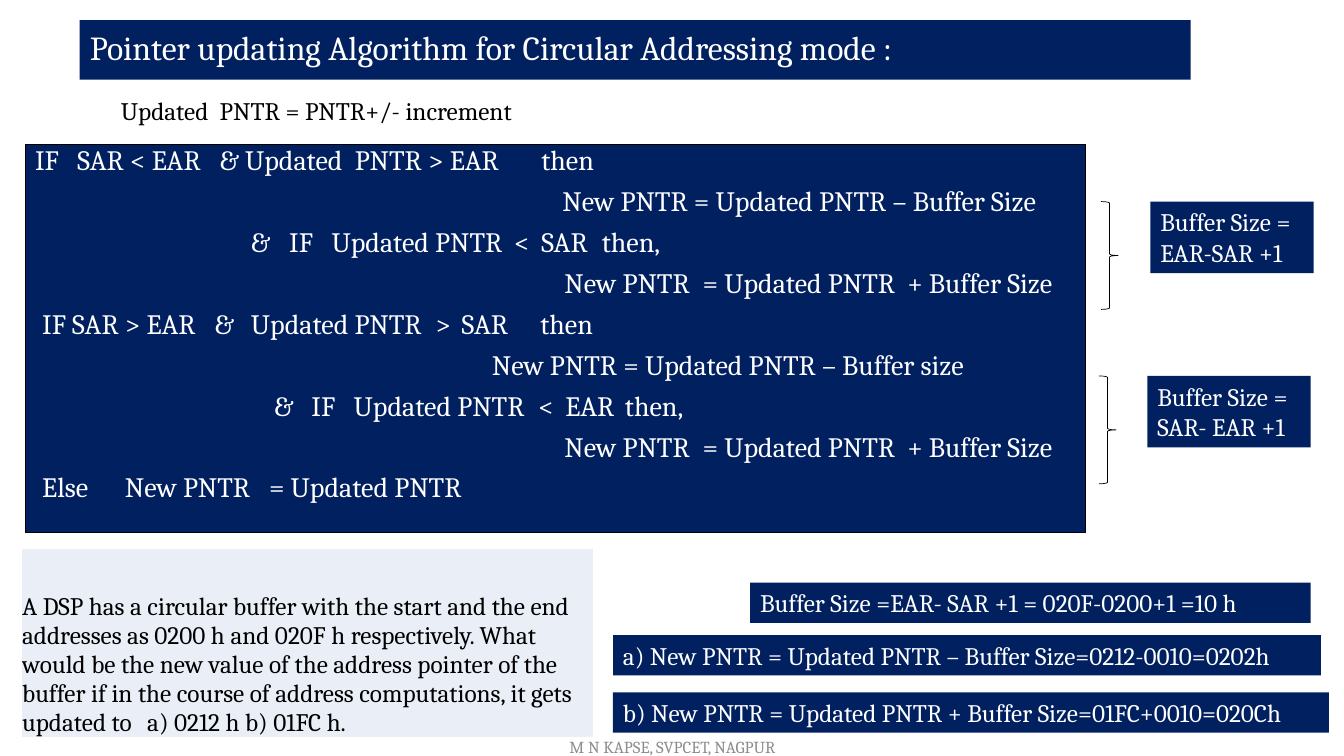
from pptx import Presentation
from pptx.dml.color import RGBColor
from pptx.enum.shapes import MSO_SHAPE as SHAPE
from pptx.enum.text import MSO_ANCHOR as ANCHOR, MSO_AUTO_SIZE as AUTO, PP_ALIGN as ALIGN
from pptx.oxml.ns import qn
from pptx.util import Inches, Pt
from lxml.etree import SubElement

COLORS = {"navy": "002060", "white": "FFFFFF", "black": "000000",
          "gray": "8C8C8C", "pale": "EAEFF7"}


def rgb(name):
    return RGBColor.from_string(COLORS[name])


def write(tf, text, size, color, align=ALIGN.LEFT, stops=()):
    tf.text = text
    for p, positions in zip(tf.paragraphs, stops):
        tabs = SubElement(p._p.get_or_add_pPr(), qn("a:tabLst"))
        for pos in positions:
            SubElement(tabs, qn("a:tab"), pos=str(Inches(pos)), algn="l")
    for p in tf.paragraphs:
        p.alignment = align
        for r in p.runs:
            r.font.name = "Cambria"
            r.font.size = Pt(size)
            r.font.color.rgb = rgb(color)


prs = Presentation()
prs.slide_width = Inches(13.33)
prs.slide_height = Inches(7.5)
s = prs.slides.add_slide(prs.slide_layouts[5])

title = s.shapes.title
title.left, title.top = Inches(0.79), Inches(0.2)
title.width, title.height = Inches(11.02), Inches(0.59)
title.fill.solid()
title.fill.fore_color.rgb = rgb("navy")
tf = title.text_frame
tf.auto_size = AUTO.NONE
tf.vertical_anchor = ANCHOR.MIDDLE
write(tf, "Pointer updating Algorithm for Circular Addressing mode :", 24, "white")
tf.paragraphs[0].line_spacing = 0.9

algorithm = [
    ("IF\tSAR < EAR\t& Updated\tPNTR > EAR\tthen", (0.42, 1.83, 3.17, 5.02)),
    ("\tNew PNTR = Updated PNTR – Buffer Size", (5.23,)),
    ("\t&\tIF\tUpdated PNTR\t<\tSAR\tthen,", (2.14, 2.52, 2.94, 4.75, 5.02, 5.62)),
    ("\tNew PNTR\t= Updated PNTR\t+ Buffer Size", (5.25, 6.62, 8.65)),
    ("\tIF SAR > EAR\t&\tUpdated PNTR\t>\tSAR\tthen", (0.07, 1.78, 2.14, 3.97, 4.23, 5.01)),
    ("\tNew PNTR = Updated PNTR – Buffer size", (4.53,)),
    ("\t&\tIF\tUpdated PNTR\t<\tEAR\tthen,", (2.37, 2.74, 3.16, 4.99, 5.26, 5.85)),
    ("\tNew PNTR\t= Updated PNTR\t+ Buffer Size", (5.25, 6.62, 8.65)),
    ("\tElse\tNew PNTR\t= Updated PNTR", (0.07, 0.89, 2.32)),
]
lines, stops = zip(*algorithm)
body = s.shapes.add_shape(SHAPE.RECTANGLE, Inches(0.25), Inches(1.43), Inches(10.52), Inches(3.85))
body.shadow.inherit = False
body.fill.solid()
body.fill.fore_color.rgb = rgb("navy")
body.line.color.rgb = rgb("black")
body.line.width = Pt(0.75)
tf = body.text_frame
tf.word_wrap = True
tf.vertical_anchor = ANCHOR.TOP
write(tf, "\n".join(lines), 20, "white", stops=stops)
for i, p in enumerate(tf.paragraphs):
    p.line_spacing = 0.8
    p.space_before = Pt(10 if i else 0)

footer = s.shapes.add_textbox(Inches(4.42), Inches(7.21), Inches(4.5), Inches(0.4))
tf = footer.text_frame
tf.word_wrap = True
tf.vertical_anchor = ANCHOR.MIDDLE
write(tf, "M N KAPSE, SVPCET, NAGPUR", 12, "gray", ALIGN.CENTER)

update = s.shapes.add_textbox(Inches(1.1), Inches(0.9), Inches(4.29), Inches(0.4))
write(update.text_frame, "Updated\tPNTR = PNTR+/- increment", 18, "black", stops=[(0.98,)])

for x, y in ((10.92, 2), (10.9, 3.73)):
    brace = s.shapes.add_shape(SHAPE.RIGHT_BRACE, Inches(x), Inches(y), Inches(0.17), Inches(1.07))
    brace.shadow.inherit = False
    brace.fill.background()
    brace.line.color.rgb = rgb("black")
    brace.line.width = Pt(0.5)

table = s.shapes.add_table(1, 1, Inches(0.21), Inches(5.44), Inches(5.68), Inches(1.88)).table
table.first_row = False
table.horz_banding = False
cell = table.cell(0, 0)
cell.fill.solid()
cell.fill.fore_color.rgb = rgb("pale")
cell.vertical_anchor = ANCHOR.BOTTOM
cell.margin_left = cell.margin_right = cell.margin_top = Inches(0.01)
cell.margin_bottom = 0
question = ("A DSP has a circular buffer with the start and the end addresses as 0200 h and 020F h "
            "respectively. What would be the new value of the address pointer of the buffer if in "
            "the course of address computations, it gets updated to\ta) 0212 h b) 01FC h.")
write(cell.text_frame, question, 18, "black", stops=[(1.24,)])

labels = [
    (11.41, 2, 1.62, 0.71, "Buffer Size =\nEAR-SAR +1"),
    (11.38, 3.73, 1.62, 0.71, "Buffer Size =\nSAR- EAR +1"),
    (7.44, 5.78, 5.56, 0.4, "Buffer Size =EAR- SAR +1 = 020F-0200+1 =10 h"),
    (6.08, 6.3, 7.02, 0.4, "a) New PNTR = Updated PNTR – Buffer Size=0212-0010=0202h"),
    (6.08, 6.87, 7.1, 0.4, "b) New PNTR = Updated PNTR + Buffer Size=01FC+0010=020Ch"),
]
for x, y, w, h, text in labels:
    label = s.shapes.add_shape(SHAPE.RECTANGLE, Inches(x), Inches(y), Inches(w), Inches(h))
    label.shadow.inherit = False
    label.fill.solid()
    label.fill.fore_color.rgb = rgb("navy")
    label.line.fill.background()
    tf = label.text_frame
    tf.word_wrap = False
    tf.vertical_anchor = ANCHOR.TOP
    write(tf, text, 18, "white")

prs.save("out.pptx")
